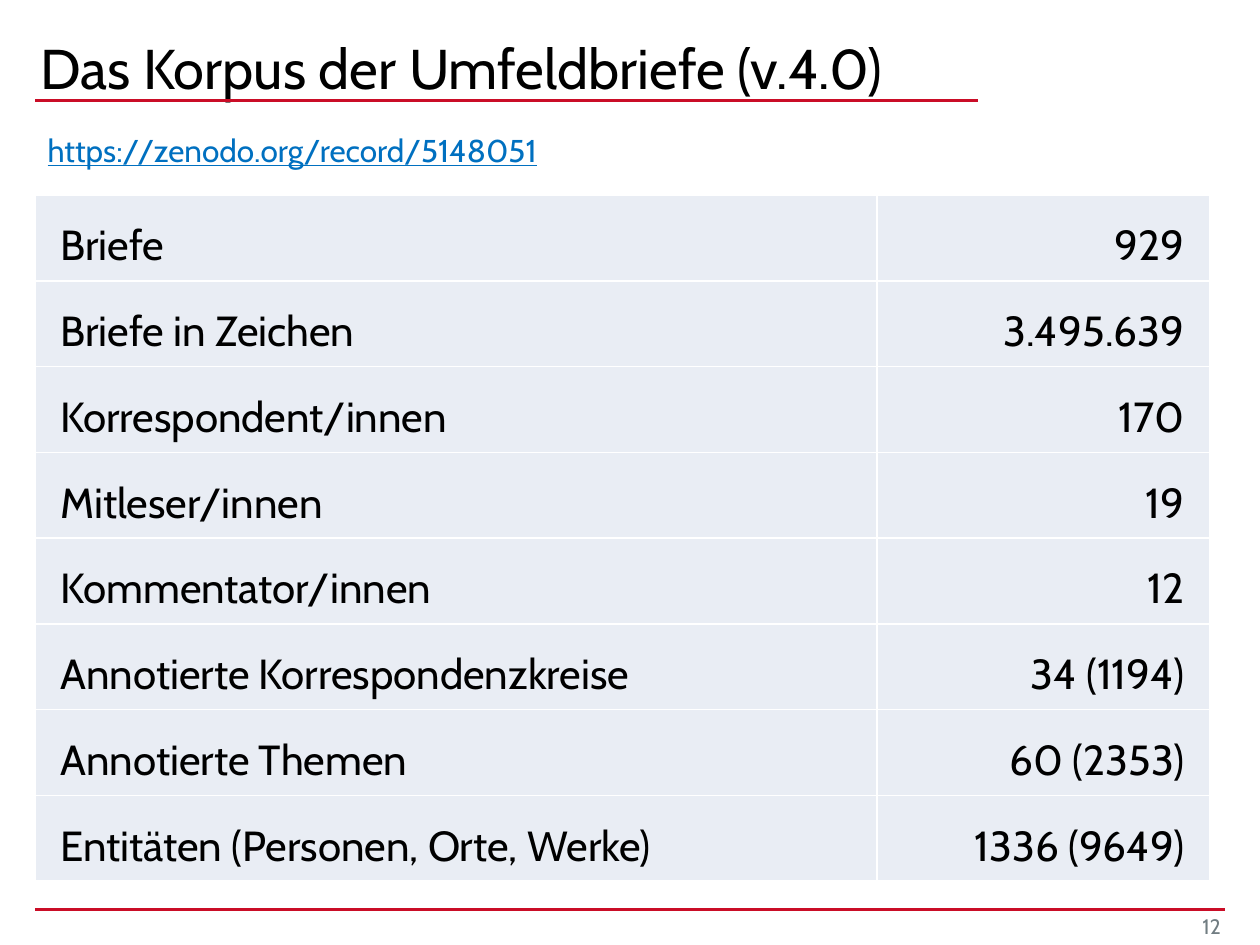
"""Builds a title-only slide with a table of figures on a corpus of letters."""
from lxml import etree
from pptx import Presentation
from pptx.dml.color import RGBColor
from pptx.enum.shapes import MSO_CONNECTOR
from pptx.enum.text import MSO_ANCHOR, MSO_AUTO_SIZE, PP_ALIGN
from pptx.oxml.ns import qn
from pptx.util import Pt

STRAIGHT = MSO_CONNECTOR.STRAIGHT
LEFT, RIGHT = PP_ALIGN.LEFT, PP_ALIGN.RIGHT
TOP, MIDDLE, BOTTOM = MSO_ANCHOR.TOP, MSO_ANCHOR.MIDDLE, MSO_ANCHOR.BOTTOM
NO_AUTOFIT = MSO_AUTO_SIZE.NONE

TITLE = "Das Korpus der Umfeldbriefe (v.4.0)"
SOURCE = "https://zenodo.org/record/5148051"
PAGE_NUMBER = "12"
FIGURES = [
    ("Briefe", "929"),
    ("Briefe in Zeichen", "3.495.639"),
    ("Korrespondent/innen", "170"),
    ("Mitleser/innen", "19"),
    ("Kommentator/innen", "12"),
    ("Annotierte Korrespondenzkreise", "34 (1194)"),
    ("Annotierte Themen", "60 (2353)"),
    ("Entitäten (Personen, Orte, Werke)", "1336 (9649)"),
]
FONT = "Cabin"
BLACK, WHITE, RED, GREY = "000000", "FFFFFF", "CA0D27", "717D82"
LINK_BLUE, CELL_FILL = "0070C0", "E9EDF4"
MARGIN = 20.16
RULES = [(558.72, 57.6), (699.84, 519.84)]
TABLE_TOP, ROW_HEIGHT = 111.6, 48.96
COLUMN_WIDTHS = (480.96, 190.08)


def color(value):
    return RGBColor.from_string(value)


def write(frame, text, size, text_color, align=LEFT):
    frame.text = text
    paragraph = frame.paragraphs[0]
    paragraph.alignment = align
    paragraph.font.name = FONT
    paragraph.font.size = Pt(size)
    paragraph.font.color.rgb = color(text_color)
    return paragraph


def set_insets(target, left, top, right, bottom):
    target.margin_left, target.margin_top = Pt(left), Pt(top)
    target.margin_right, target.margin_bottom = Pt(right), Pt(bottom)


def add_text(slide, box, text, size, text_color, align, anchor, insets):
    shape = slide.shapes.add_textbox(*map(Pt, box))
    frame = shape.text_frame
    frame.word_wrap = True
    frame.vertical_anchor = anchor
    set_insets(frame, *insets)
    return write(frame, text, size, text_color, align)


def add_rule(slide, right, y):
    rule = slide.shapes.add_connector(STRAIGHT, Pt(MARGIN), Pt(y), Pt(right), Pt(y))
    rule.line.color.rgb = color(RED)
    rule.line.width = Pt(1.75)
    etree.SubElement(rule.element.spPr, qn("a:effectLst"))


def set_borders(cell):
    properties = cell._tc.get_or_add_tcPr()
    for position, side in enumerate(("a:lnL", "a:lnR", "a:lnT", "a:lnB")):
        line = etree.Element(qn(side), w=str(Pt(1)))
        fill = etree.SubElement(line, qn("a:solidFill"))
        etree.SubElement(fill, qn("a:srgbClr"), val=WHITE)
        properties.insert(position, line)


def add_title(slide):
    title = slide.shapes.title
    title.left, title.top = Pt(MARGIN), Pt(4.32)
    title.width, title.height = Pt(538.56), Pt(53.28)
    frame = title.text_frame
    frame.word_wrap = True
    frame.auto_size = NO_AUTOFIT
    frame.vertical_anchor = BOTTOM
    set_insets(frame, 2.88, 0, 2.88, 0)
    write(frame, TITLE, 32, BLACK).line_spacing = Pt(28)


def add_figures(slide):
    table = slide.shapes.add_table(
        len(FIGURES), len(COLUMN_WIDTHS), Pt(MARGIN), Pt(TABLE_TOP),
        Pt(sum(COLUMN_WIDTHS)), Pt(ROW_HEIGHT * len(FIGURES))).table
    table.first_row = table.horz_banding = False
    for column, width in zip(table.columns, COLUMN_WIDTHS):
        column.width = Pt(width)
    for row, texts in zip(table.rows, FIGURES):
        row.height = Pt(ROW_HEIGHT)
        for cell, text, align in zip(row.cells, texts, (LEFT, RIGHT)):
            cell.fill.solid()
            cell.fill.fore_color.rgb = color(CELL_FILL)
            cell.vertical_anchor = BOTTOM
            set_insets(cell, 14.4, 14.4, 14.4, 5.76)
            write(cell.text_frame, text, 24, BLACK, align)
            set_borders(cell)


def main():
    presentation = Presentation()
    presentation.slide_width, presentation.slide_height = Pt(720), Pt(540)
    slide = presentation.slides.add_slide(presentation.slide_layouts[5])
    for right, y in RULES:
        add_rule(slide, right, y)
    add_title(slide)
    add_text(slide, (640.8, 522, 59.76, 14.4), PAGE_NUMBER, 12, GREY,
             RIGHT, MIDDLE, (2.88, 2.88, 2.88, 2.88))
    add_figures(slide)
    link = add_text(slide, (MARGIN, 71.28, 368.64, 28.8), SOURCE, 18, LINK_BLUE,
                    LEFT, TOP, (7.2, 3.6, 7.2, 3.6))
    link.font.underline = True
    presentation.save("out.pptx")


if __name__ == "__main__":
    main()
